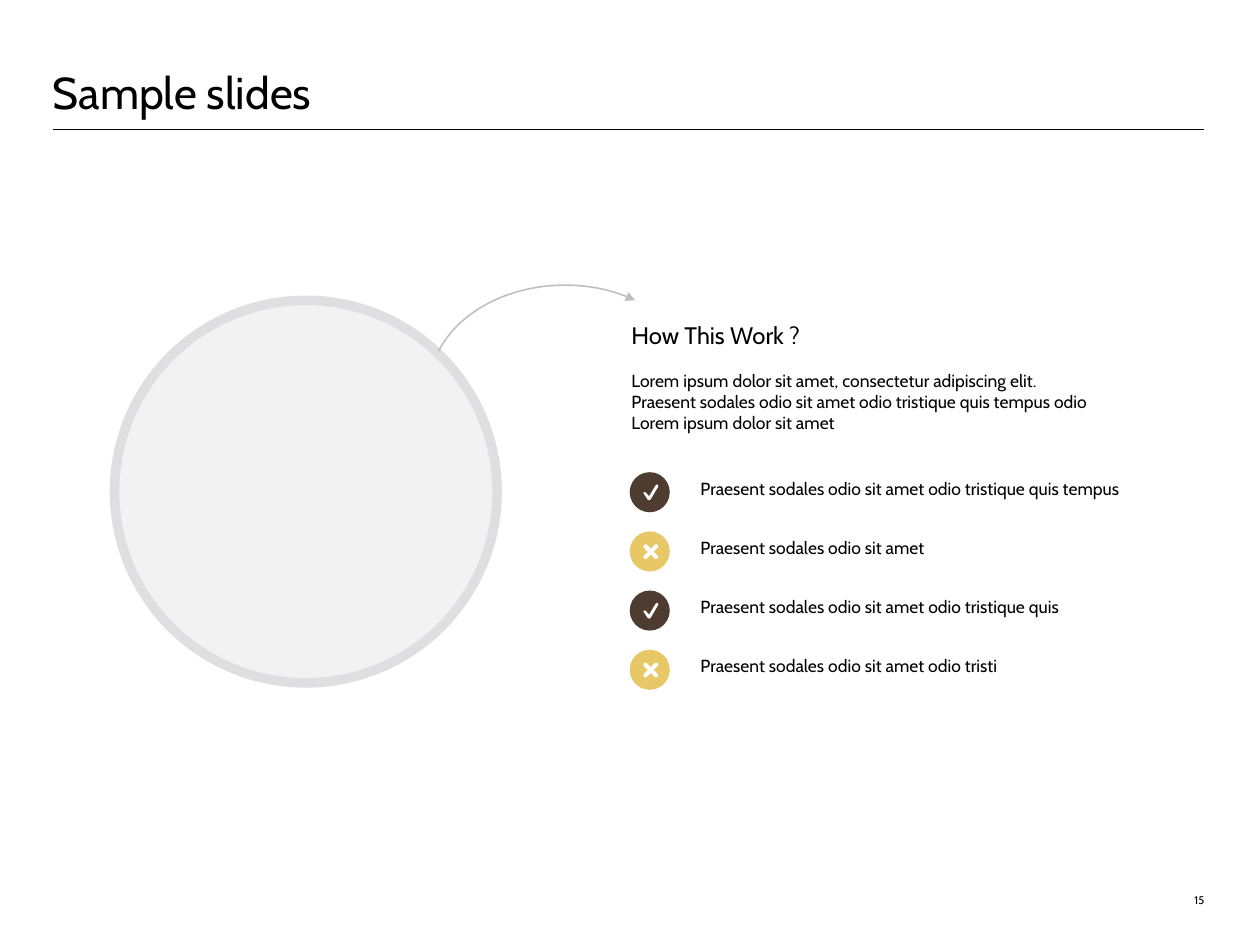
from dataclasses import dataclass

from lxml.etree import SubElement
from pptx import Presentation
from pptx.dml.color import RGBColor
from pptx.enum.shapes import MSO_CONNECTOR, MSO_SHAPE
from pptx.enum.text import MSO_ANCHOR, MSO_AUTO_SIZE, PP_ALIGN
from pptx.oxml.ns import qn
from pptx.util import Pt


@dataclass(frozen=True)
class Theme:
    """Colours, font and type sizes of the slide."""
    font: str = "Cabin"
    ink: str = "000000"
    white: str = "FFFFFF"
    disc: str = "F2F2F2"
    ring: str = "DFDFE1"
    arrow: str = "BFBFBF"
    yes: str = "4D3C2F"
    no: str = "E8C767"
    title: int = 28
    heading: int = 15
    body: int = 11
    number: int = 7


THEME = Theme()
TICK = [(12, 18.3), (12.4, 17.5), (13.3, 17.4), (14.3, 18), (17, 21), (22.8, 11.4),
        (23.7, 10.7), (24.8, 11.3), (25, 12.5), (18.4, 23.7), (17.2, 24.6), (15.8, 24)]
ARM = [(2.5, 0), (6, -3.5), (6.5, -4.5), (6.2, -5.5), (5.5, -6.2), (4.5, -6.5), (3.5, -6)]
ITEMS = [
    ("Praesent sodales odio sit amet odio tristique quis tempus", 282.2, True),
    ("Praesent sodales odio sit amet", 157, False),
    ("Praesent sodales odio sit amet odio tristique quis", 244.1, True),
    ("Praesent sodales odio sit amet odio tristi", 204.5, False),
]


def rgb(value):
    """Turn a hex string into a colour."""
    return RGBColor.from_string(value)


def add_text(slide, text, x, y, w, h, size=THEME.body, wrap=True, grow=True,
             anchor=MSO_ANCHOR.TOP, align=PP_ALIGN.LEFT, leading=None):
    """Add a text box; boxes that do not grow have no insets."""
    tf = slide.shapes.add_textbox(Pt(x), Pt(y), Pt(w), Pt(h)).text_frame
    tf.word_wrap = wrap
    tf.auto_size = MSO_AUTO_SIZE.SHAPE_TO_FIT_TEXT if grow else MSO_AUTO_SIZE.NONE
    tf.vertical_anchor = anchor
    if not grow:
        tf.margin_left = tf.margin_right = tf.margin_top = tf.margin_bottom = 0
    p = tf.paragraphs[0]
    p.alignment = align
    if leading:
        p.line_spacing = Pt(leading)
    r = p.add_run()
    r.text = text
    r.font.name, r.font.size = THEME.font, Pt(size)
    r.font.color.rgb = rgb(THEME.ink)


def style(sp, fill=None, line=None, width=1):
    """Set the fill and line of a shape and drop its shadow."""
    sp.shadow.inherit = False
    if fill:
        sp.fill.solid()
        sp.fill.fore_color.rgb = rgb(fill)
    else:
        sp.fill.background()
    if line:
        sp.line.color.rgb = rgb(line)
        sp.line.width = Pt(width)
    else:
        sp.line.fill.background()


def add_frame(slide, x, y, w, h):
    """Place the title, its rule and the page number."""
    add_text(slide, "Sample slides", x, 0, w, y - 7, THEME.title, grow=False,
             anchor=MSO_ANCHOR.BOTTOM, leading=32)
    rule = slide.shapes.add_connector(MSO_CONNECTOR.STRAIGHT, Pt(x), Pt(y), Pt(x + w), Pt(y))
    rule.line.color.rgb = rgb(THEME.ink)
    rule.line.width = Pt(0.75)
    SubElement(rule._element.spPr, qn("a:effectLst"))
    add_text(slide, "15", x + w - 32, y + h - 30, 32, 30, THEME.number, grow=False,
             anchor=MSO_ANCHOR.BOTTOM, align=PP_ALIGN.RIGHT)


def add_disc(slide, x, y, d):
    """Place the ringed disc and the curved arrow leaving it."""
    sp = slide.shapes.add_shape(MSO_SHAPE.OVAL, Pt(x), Pt(y), Pt(d), Pt(d))
    style(sp, THEME.disc, THEME.ring, 6)
    arc = slide.shapes.add_shape(MSO_SHAPE.ARC, Pt(x + 198), Pt(y - 9.5), Pt(170), Pt(129.6))
    arc.adjustments[0], arc.adjustments[1] = 117.84, 185.21
    style(arc, line=THEME.arrow)
    SubElement(arc.line._get_or_add_ln(), qn("a:tailEnd"), type="triangle")


def cross_points(cx, cy):
    """Turn one arm through four quarter turns about a centre."""
    points, arm = [], ARM
    for _ in range(4):
        points += [(cx + x, cy + y) for x, y in arm]
        arm = [(y, -x) for x, y in arm]
    return points


def add_item(slide, text, x, y, w, good, d=25.2):
    """Place one list row: a badge with a tick or cross, and its text."""
    add_text(slide, text, x + 37.4, y, w, 20.9, wrap=False)
    badge = slide.shapes.add_shape(MSO_SHAPE.OVAL, Pt(x), Pt(y), Pt(d), Pt(d))
    style(badge, THEME.yes if good else THEME.no)
    outline = TICK if good else cross_points(18.5, 17.8)
    points = [(Pt(x + 0.72 * px), Pt(y + 0.72 * py)) for px, py in outline]
    fb = slide.shapes.build_freeform(*points[0])
    fb.add_line_segments(points[1:])
    style(fb.convert_to_shape(), THEME.white)


def add_explanation(slide, x, y, w):
    """Place the heading, the paragraph and the evenly spaced list."""
    add_text(slide, "How This Work ?", x, y, 125.3, 25.2, THEME.heading, wrap=False)
    add_text(slide, "Lorem ipsum dolor sit amet, consectetur adipiscing elit. "
             "Praesent sodales odio sit amet odio tristique quis tempus odio "
             "Lorem ipsum dolor sit amet", x, y + 31, w, 48.2)
    for i, (text, width, good) in enumerate(ITEMS):
        add_item(slide, text, x + 6, y + 98.8 + 37.2 * i, width, good)


def main():
    """Build the slide and save it."""
    prs = Presentation()
    prs.slide_width, prs.slide_height = Pt(792), Pt(594)
    slide = prs.slides.add_slide(prs.slide_layouts[6])
    add_frame(slide, 33.2, 81.2, 723.8, 489)
    add_disc(slide, 72, 188.8, 240.5)
    add_explanation(slide, 389.8, 198, 303.1)
    prs.save("out.pptx")


if __name__ == "__main__":
    main()
